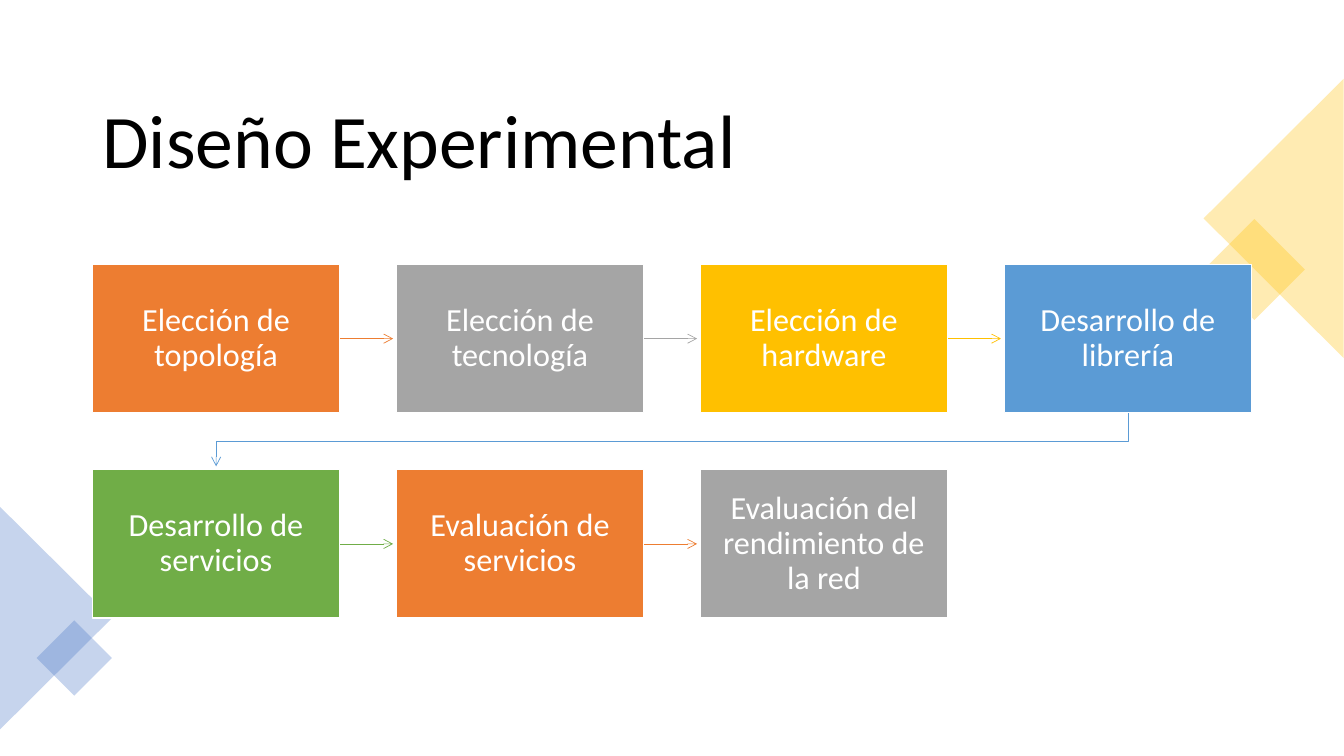
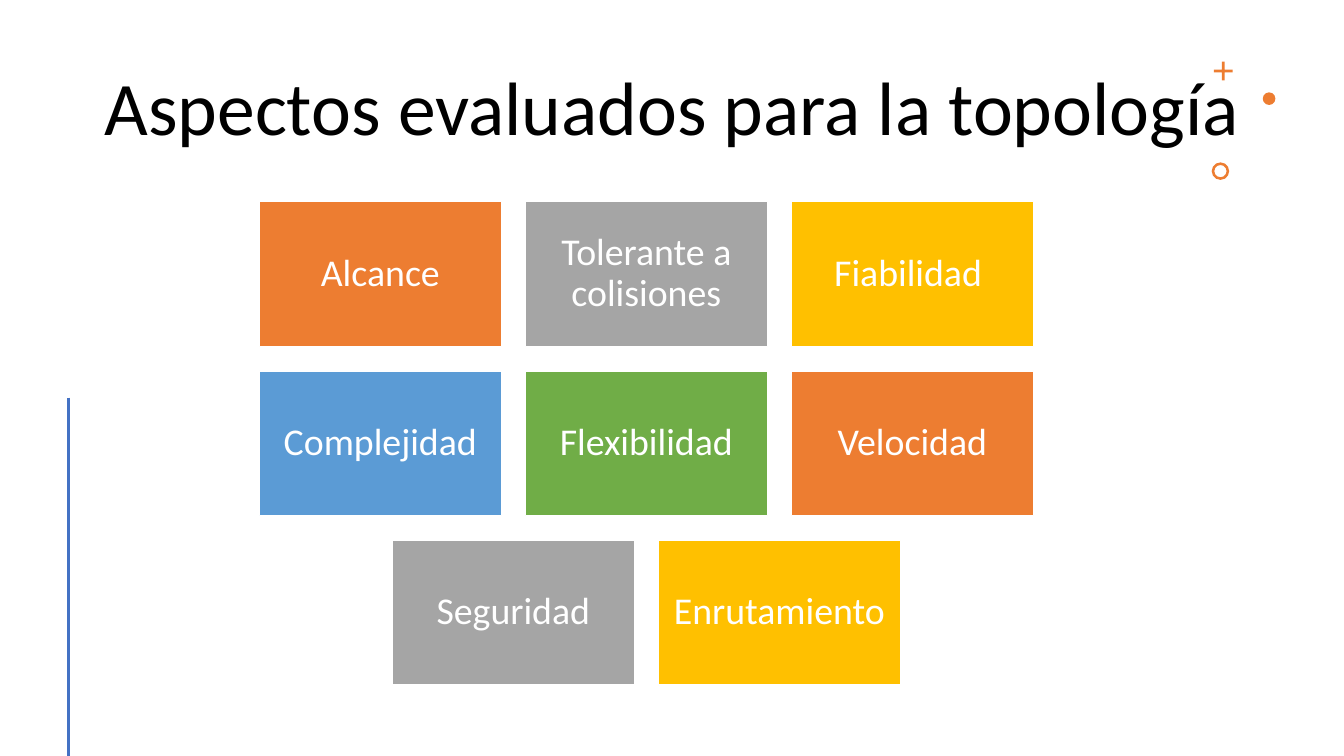
from lxml import etree
from pptx import Presentation
from pptx.dml.color import RGBColor
from pptx.enum.shapes import MSO_CONNECTOR as Connector, MSO_SHAPE as Shape
from pptx.enum.text import MSO_ANCHOR as Anchor, MSO_AUTO_SIZE as AutoSize, PP_ALIGN as Align
from pptx.oxml.ns import qn
from pptx.util import Pt

COLORS = {
    "orange": "ED7D31", "gray": "A5A5A5", "gold": "FFC000", "sky": "5B9BD5",
    "green": "70AD47", "blue": "4472C4", "white": "FFFFFF", "black": "000000",
}
RGB = {name: RGBColor.from_string(value) for name, value in COLORS.items()}
CYCLE = ["orange", "gray", "gold", "sky", "green"]


def write(shape, text, size, color, align, inset):
    """Put one formatted paragraph into a shape or placeholder."""
    frame = shape.text_frame
    frame.text = text
    paragraph = frame.paragraphs[0]
    frame_format = {
        "word_wrap": True, "auto_size": AutoSize.NONE, "vertical_anchor": Anchor.MIDDLE,
        "margin_left": Pt(inset), "margin_right": Pt(inset),
        "margin_top": Pt(min(inset, 13)), "margin_bottom": Pt(min(inset, 13)),
    }
    for target, values in (
        (frame, frame_format),
        (paragraph, {"alignment": align, "line_spacing": 0.9}),
        (paragraph.runs[0].font, {"name": "Calibri", "size": Pt(size)}),
    ):
        for attribute, value in values.items():
            setattr(target, attribute, value)
    paragraph.runs[0].font.color.rgb = RGB[color]


def add_filled(slide, kind, box, color, outline=None):
    """Add a flat preset shape, with an optional 1 pt outline."""
    shape = slide.shapes.add_shape(kind, *map(Pt, box))
    shape.shadow.inherit = False
    shape.fill.solid()
    shape.fill.fore_color.rgb = RGB[color]
    if outline:
        shape.line.color.rgb = RGB[outline]
        shape.line.width = Pt(1)
    else:
        shape.line.fill.background()
    return shape


deck = Presentation()
deck.slide_width, deck.slide_height = Pt(960), Pt(540)

# Slides and titles
slides = []
for heading, box, align in (
    ("Diseño Experimental", (66, 58.5, 859, 89), Align.LEFT),
    ("Aspectos evaluados para la topología", (49, 44, 862, 70), Align.CENTER),
):
    slide = deck.slides.add_slide(deck.slide_layouts[5])
    title = slide.shapes.title
    title.left, title.top, title.width, title.height = map(Pt, box)
    write(title, heading, 54, "black", align, 7.2)
    slides.append(slide)
design, aspects = slides

# Design: translucent corner ornaments
for kind, box, rotation, color in (
    (Shape.RECTANGLE, (870.5, 167, 51, 51), 45, "gold"),
    (Shape.ISOSCELES_TRIANGLE, (810, 106, 199.5, 100), 270, "gold"),
    (Shape.ISOSCELES_TRIANGLE, (-39.5, 401.5, 159, 80), 90, "blue"),
    (Shape.RECTANGLE, (34, 451, 38, 38), 45, "blue"),
):
    ornament = add_filled(design, kind, box, color)
    ornament.rotation = rotation
    fill_color = ornament.fill._xPr.find(qn("a:solidFill"))[0]
    etree.SubElement(fill_color, qn("a:alpha"), val="30000")

# Design: steps in rows of four, each joined to the next
STEPS = [
    "Elección de topología", "Elección de tecnología", "Elección de hardware",
    "Desarrollo de librería", "Desarrollo de servicios", "Evaluación de servicios",
    "Evaluación del rendimiento de la red",
]
STEP_W, STEP_H, STEP_DX, STEP_DY = 176.4, 105.8, 217.1, 146.6
PER_ROW, ARROW_CLEARANCE = 4, 2.5
for index, step in enumerate(STEPS):
    row, column = divmod(index, PER_ROW)
    left, top = 66.2 + column * STEP_DX, 189 + row * STEP_DY
    color = CYCLE[index % len(CYCLE)]
    if index < len(STEPS) - 1:
        if column < PER_ROW - 1:
            middle = top + STEP_H / 2
            arrow = design.shapes.add_connector(
                Connector.STRAIGHT, Pt(left + STEP_W), Pt(middle),
                Pt(left + STEP_DX - ARROW_CLEARANCE), Pt(middle))
            etree.SubElement(arrow._element.spPr, qn("a:effectLst"))
        else:
            start_x, end_x = left + STEP_W / 2, 66.2 + STEP_W / 2
            turn_y = top + (STEP_H + STEP_DY) / 2
            outline = design.shapes.build_freeform(Pt(start_x), Pt(top + STEP_H))
            outline.add_line_segments([
                (Pt(start_x), Pt(turn_y)), (Pt(end_x), Pt(turn_y)),
                (Pt(end_x), Pt(top + STEP_DY - ARROW_CLEARANCE)),
            ], close=False)
            arrow = outline.convert_to_shape()
            arrow.fill.background()
            arrow.shadow.inherit = False
        arrow.line.color.rgb = RGB[color]
        arrow.line.width = Pt(0.5)
        etree.SubElement(arrow.line._get_or_add_ln(), qn("a:tailEnd"), type="arrow")
    card = add_filled(design, Shape.RECTANGLE, (left, top, STEP_W, STEP_H), color, "white")
    write(card, step, 23, "white", Align.CENTER, 13)

# Aspects: small marks and side line
for kind, box, adjustment in (
    (Shape.CROSS, (867, 44, 13.5, 13.5), 0.43),
    (Shape.OVAL, (902, 66, 9, 9), None),
    (Shape.DONUT, (865.5, 116, 12.5, 12.5), 0.15),
):
    mark = add_filled(aspects, kind, box, "orange")
    if adjustment:
        mark.adjustments[0] = adjustment
side_line = aspects.shapes.add_connector(Connector.STRAIGHT, Pt(49), Pt(284), Pt(49), Pt(540))
side_line.line.color.rgb = RGB["blue"]
side_line.line.width = Pt(2)
etree.SubElement(side_line._element.spPr, qn("a:effectLst"))

# Aspects: centred rows of cards
ASPECT_ROWS = [
    ["Alcance", "Tolerante a colisiones", "Fiabilidad "],
    ["Complejidad", "Flexibilidad", "Velocidad"],
    ["Seguridad", "Enrutamiento"],
]
CARD_W, CARD_H, CARD_DX, CARD_DY, GRID_CENTER = 172.8, 103.4, 190, 121, 461.7
count = 0
for row, names in enumerate(ASPECT_ROWS):
    row_left = GRID_CENTER - ((len(names) - 1) * CARD_DX + CARD_W) / 2
    for column, name in enumerate(names):
        box = (row_left + column * CARD_DX, 144 + row * CARD_DY, CARD_W, CARD_H)
        card = add_filled(aspects, Shape.RECTANGLE, box, CYCLE[count % len(CYCLE)], "white")
        write(card, name, 27, "white", Align.CENTER, 8)
        count += 1

deck.save("out.pptx")
